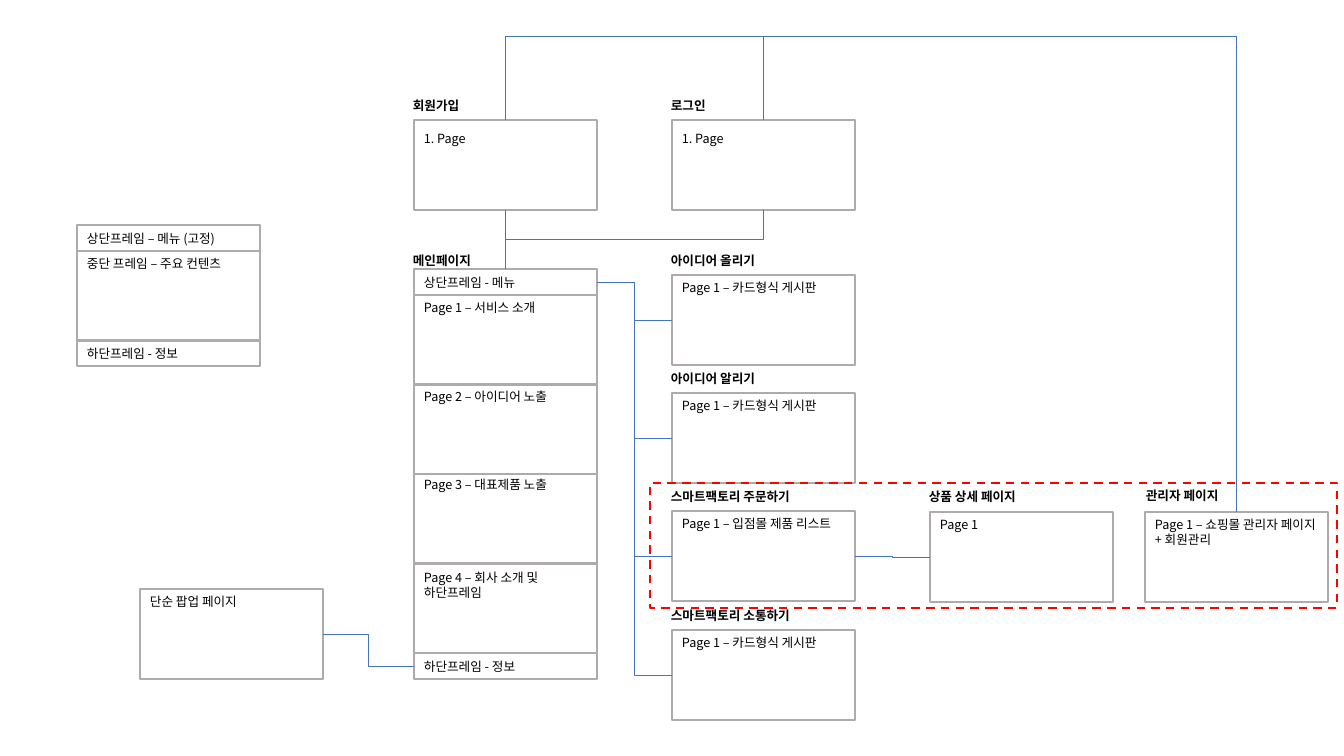
from lxml import etree
from pptx import Presentation, util as u
from pptx.dml.color import RGBColor
from pptx.enum import dml, shapes, text
from pptx.oxml import ns

FONT = "Noto Sans CJK KR"
BLACK = RGBColor(0x00, 0x00, 0x00)
GREY = RGBColor(0xAF, 0xAB, 0xAB)
BLUE = RGBColor(0x44, 0x72, 0xC4)
RED = RGBColor(0xFF, 0x00, 0x00)

BOX_W, BOX_H, BAR_H = 183, 90, 26
TOP, LEFT, BOTTOM, RIGHT = 0, 1, 2, 3
FRAME_X, POPUP_X, MAIN_X, BOARD_X, DETAIL_X, ADMIN_X = 77, 140, 414, 672, 930, 1145


def px(value):
    return u.Emu(round(value * 914400 / 100.8))


def write(text_frame, content, bold=False):
    text_frame.word_wrap = True
    text_frame.text = content
    paragraph = text_frame.paragraphs[0]
    paragraph.alignment = text.PP_ALIGN.LEFT
    for run in paragraph.runs:
        run.font.size = u.Pt(9)
        run.font.bold = bold
        run.font.name = FONT
        run.font.color.rgb = BLACK
        east_asian = etree.SubElement(run.font._element, ns.qn("a:ea"))
        east_asian.set("typeface", FONT)


def add_text(slide, content, x, y, width=BOX_W, bold=False):
    shape = slide.shapes.add_textbox(px(x), px(y), px(width), px(BAR_H))
    write(shape.text_frame, content, bold)
    shape.text_frame.auto_size = text.MSO_AUTO_SIZE.SHAPE_TO_FIT_TEXT


def add_label(slide, content, x, y):
    add_text(slide, content, x, y, 247, bold=True)


def add_box(slide, x, y, width=BOX_W, height=BOX_H, color=GREY, weight=1):
    shape = slide.shapes.add_shape(
        shapes.MSO_SHAPE.RECTANGLE, px(x), px(y), px(width), px(height))
    shape.shadow.inherit = False
    shape.fill.background()
    shape.line.color.rgb = color
    shape.line.width = u.Pt(weight)
    return shape


def add_bar(slide, content, x, y):
    bar = add_box(slide, x, y, height=BAR_H)
    write(bar.text_frame, content)
    bar.text_frame.vertical_anchor = text.MSO_ANCHOR.MIDDLE
    return bar


def add_page(slide, content, x, y, text_shift=0, text_width=BOX_W):
    box = add_box(slide, x, y)
    add_text(slide, content, x, y + text_shift, text_width)
    return box


def add_elbow(slide, start, start_side, end, end_side):
    connector = slide.shapes.add_connector(shapes.MSO_CONNECTOR.ELBOW, 0, 0, 0, 0)
    connector.begin_connect(start, start_side)
    connector.end_connect(end, end_side)
    connector.line.color.rgb = BLUE
    connector.line.width = u.Pt(0.5)
    etree.SubElement(connector._element.spPr, ns.qn("a:effectLst"))
    return connector


def add_vertical_elbow(slide, start, start_side, end, end_side, bend_y=None):
    """An elbow that leaves its start vertically and turns at bend_y."""
    connector = add_elbow(slide, start, start_side, end, end_side)
    x1, y1 = connector.begin_x, connector.begin_y
    x2, y2 = connector.end_x, connector.end_y
    length, spread = y2 - y1, abs(x2 - x1)
    connector.left = u.Emu((x1 + x2 - length) // 2)
    connector.top = u.Emu((y1 + y2 - spread) // 2)
    connector.width, connector.height = u.Emu(length), u.Emu(spread)
    properties = connector._element.spPr
    transform = properties.find(ns.qn("a:xfrm"))
    leftward = x2 < x1
    transform.set("rot", "5400000" if leftward else "16200000")
    transform.set("flipH", "0" if leftward else "1")
    transform.set("flipV", "0")
    if bend_y is not None:
        geometry = properties.find(ns.qn("a:prstGeom"))
        guides = geometry.find(ns.qn("a:avLst"))
        if guides is None:
            guides = etree.SubElement(geometry, ns.qn("a:avLst"))
        guide = etree.SubElement(guides, ns.qn("a:gd"))
        guide.set("name", "adj1")
        guide.set("fmla", f"val {round((px(bend_y) - y1) / length * 100000)}")


def main():
    presentation = Presentation()
    presentation.slide_width, presentation.slide_height = px(1344), px(756)
    slide = presentation.slides.add_slide(presentation.slide_layouts[6])

    # Sign-up and login
    entries = []
    for title, x in (("회원가입", MAIN_X), ("로그인", BOARD_X)):
        add_label(slide, title, x - 11, 93)
        entries.append(add_box(slide, x, 120))
        add_text(slide, "1. Page", x, 126, 247)
    signup, login = entries

    # Main page
    add_label(slide, "메인페이지", MAIN_X - 11, 248)
    sections = (
        ("Page 1 – 서비스 소개", 0),
        ("Page 2 – 아이디어 노출", 0),
        ("Page 3 – 대표제품 노출", -2),
        ("Page 4 – 회사 소개 및 하단프레임", 2),
    )
    for index, (content, shift) in enumerate(sections):
        add_page(slide, content, MAIN_X, 295 + index * 179 // 2, shift)
    menu = add_bar(slide, "상단프레임 - 메뉴", MAIN_X, 269)
    footer = add_bar(slide, "하단프레임 - 정보", MAIN_X, 653)

    # Pages reached from the menu
    boards = []
    for index, (title, content, width) in enumerate((
        ("아이디어 올리기", "Page 1 – 카드형식 게시판", BOX_W),
        ("아이디어 알리기", "Page 1 – 카드형식 게시판", BOX_W),
        ("스마트팩토리 주문하기", "Page 1 – 입점몰 제품 리스트", 191),
        ("스마트팩토리 소통하기", "Page 1 – 카드형식 게시판", BOX_W),
    )):
        y = 275 + index * 355 // 3
        add_label(slide, title, BOARD_X - 11, y - 27)
        boards.append(add_page(slide, content, BOARD_X, y, text_width=width))

    # Product detail and administration
    add_label(slide, "상품 상세 페이지", DETAIL_X - 11, 484)
    detail = add_page(slide, "Page 1", DETAIL_X, 512)
    add_label(slide, "관리자 페이지", ADMIN_X - 9, 483)
    admin = add_page(slide, "Page 1 – 쇼핑몰 관리자 페이지 + 회원관리", ADMIN_X, 512)

    # Common frame layout
    add_page(slide, "중단 프레임 – 주요 컨텐츠", FRAME_X, 251)
    add_bar(slide, "상단프레임 – 메뉴 (고정)", FRAME_X, 225)
    add_bar(slide, "하단프레임 - 정보", FRAME_X, 340)

    # Pop-up page
    popup = add_page(slide, "단순 팝업 페이지", POPUP_X, 589)

    # Links
    for entry in entries:
        add_vertical_elbow(slide, entry, BOTTOM, menu, TOP)
        add_vertical_elbow(slide, entry, TOP, admin, TOP, bend_y=36)
    for board in boards:
        add_elbow(slide, menu, RIGHT, board, LEFT)
    add_elbow(slide, boards[2], RIGHT, detail, LEFT)
    add_elbow(slide, popup, RIGHT, footer, LEFT)

    # Shop area
    shop = add_box(slide, 650, 483, 687, 125, RED, 1.5)
    shop.line.dash_style = dml.MSO_LINE.DASH

    presentation.save("out.pptx")


if __name__ == "__main__":
    main()
